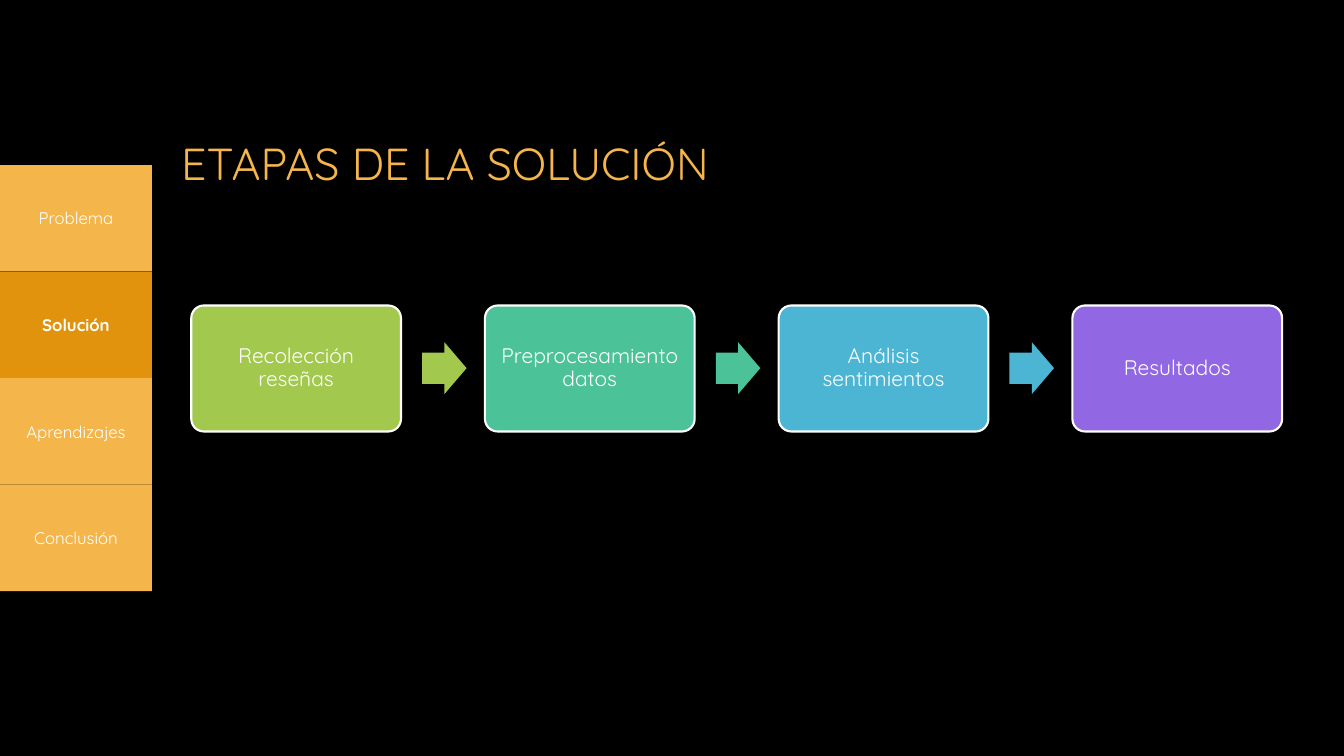
from pptx import Presentation
from pptx.dml.color import RGBColor
from pptx.enum.shapes import MSO_SHAPE as Shape
from pptx.enum.text import MSO_ANCHOR as Anchor, PP_ALIGN as Align
from pptx.util import Pt


def color(hex_string):
    return RGBColor.from_string(hex_string)


class SlideBuilder:
    FONT = "Quicksand"
    WHITE = "FFFFFF"
    ORANGE = "F4B54B"
    DARK_ORANGE = "E1930E"

    def __init__(self, slide):
        self.slide = slide
        slide.background.fill.solid()
        slide.background.fill.fore_color.rgb = color("000000")

    def label(self, shape, text, size, font_color=WHITE, align=Align.CENTER,
              bold=False, spacing=1.0, margin=None):
        frame = shape.text_frame
        frame.text = text
        frame.word_wrap = True
        frame.vertical_anchor = Anchor.MIDDLE
        if margin is not None:
            frame.margin_left = frame.margin_right = Pt(margin)
            frame.margin_top = frame.margin_bottom = Pt(margin)
        paragraph = frame.paragraphs[0]
        paragraph.alignment = align
        paragraph.line_spacing = spacing
        font = paragraph.runs[0].font
        font.name = self.FONT
        font.size = Pt(size)
        font.bold = bold
        font.color.rgb = color(font_color)

    def block(self, kind, left, top, width, height, fill, adjustments=(), line=None):
        shape = self.slide.shapes.add_shape(kind, Pt(left), Pt(top), Pt(width), Pt(height))
        shape.shadow.inherit = False
        for index, value in enumerate(adjustments):
            shape.adjustments[index] = value
        shape.fill.solid()
        shape.fill.fore_color.rgb = color(fill)
        if line:
            shape.line.color.rgb = color(line)
            shape.line.width = Pt(1.5)
        else:
            shape.line.fill.background()
        return shape

    def title(self, text, left, top, width, height):
        box = self.slide.shapes.add_textbox(Pt(left), Pt(top), Pt(width), Pt(height))
        self.label(box, text, 32, self.ORANGE, Align.LEFT, spacing=0.9)

    def tab(self, text, top, active):
        fill = self.DARK_ORANGE if active else self.ORANGE
        shape = self.block(Shape.RECTANGLE, 0, top, 108.6, 76, fill)
        self.label(shape, text, 12, bold=active)

    def stage(self, text, left, fill):
        shape = self.block(Shape.ROUNDED_RECTANGLE, left, 218.2, 149.8, 90, fill,
                           [0.1], self.WHITE)
        self.label(shape, text, 15, spacing=0.9, margin=4.3)

    def arrow(self, left, fill):
        self.block(Shape.RIGHT_ARROW, left, 244.4, 31.8, 37.2, fill, [0.6, 0.5])


def main():
    presentation = Presentation()
    presentation.slide_width, presentation.slide_height = Pt(960), Pt(540)
    builder = SlideBuilder(presentation.slides.add_slide(presentation.slide_layouts[6]))

    # Section tabs
    for index, name in enumerate(["Problema", "Solución", "Aprendizajes", "Conclusión"]):
        builder.tab(name, 117.9 + index * 76.1, active=name == "Solución")

    # Process stages, with an arrow after each but the last
    stages = [("Recolección reseñas", "A2C84E"), ("Preprocesamiento datos", "4BC298"),
              ("Análisis sentimientos", "4CB5D3"), ("Resultados", "9167E3")]
    for index, (name, fill) in enumerate(stages):
        left = 136.6 + index * 209.8
        builder.stage(name, left, fill)
        if index < len(stages) - 1:
            builder.arrow(left + 164.9, fill)

    # Heading
    builder.title("ETAPAS DE LA SOLUCIÓN", 122.4, 43.9, 779.8, 149.8)

    presentation.save("out.pptx")


if __name__ == "__main__":
    main()
